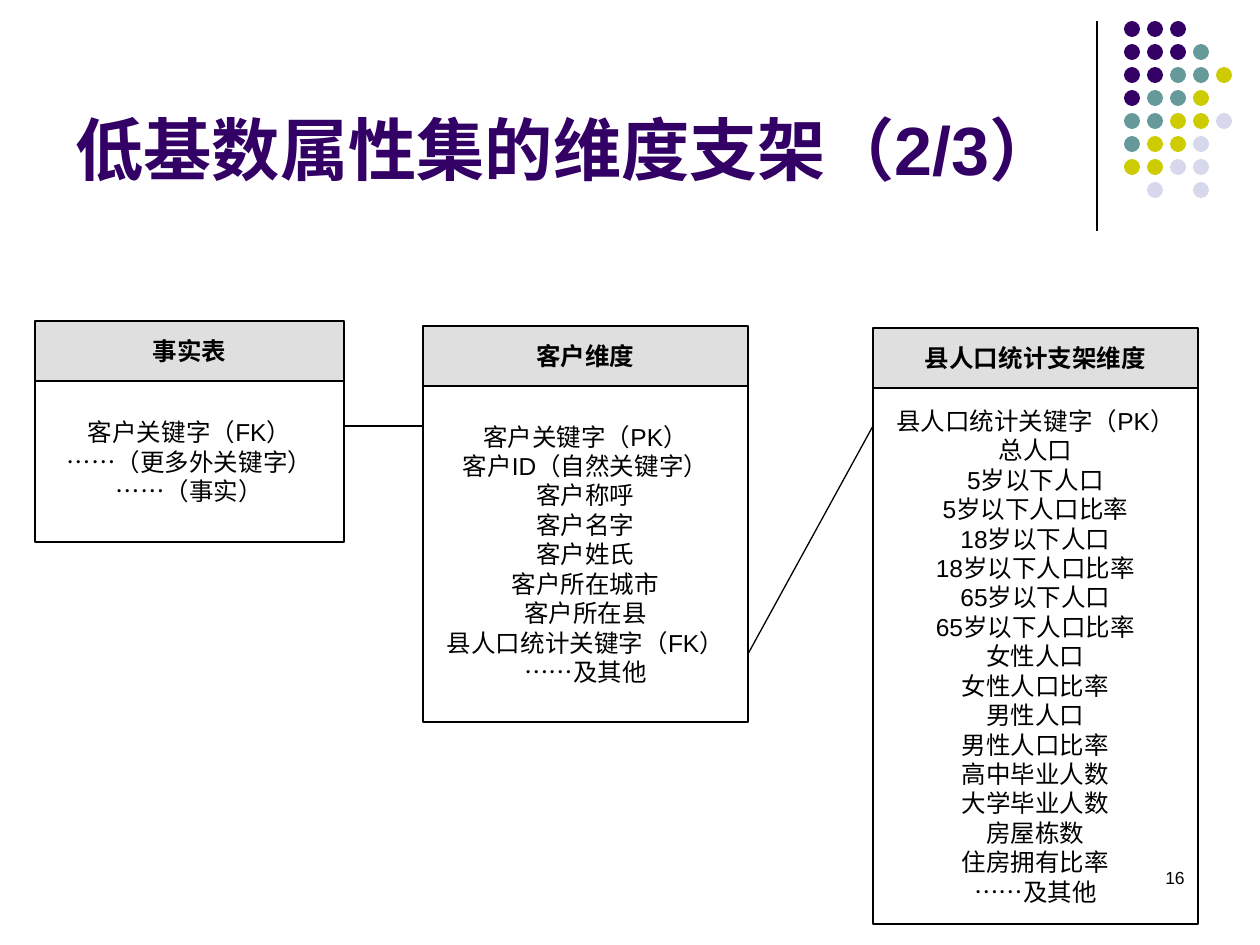
from lxml import etree
from pptx import Presentation
from pptx.dml.color import RGBColor
from pptx.enum.shapes import MSO_CONNECTOR, MSO_SHAPE
from pptx.enum.text import MSO_ANCHOR, PP_ALIGN
from pptx.oxml.ns import qn
from pptx.util import Emu, Pt

RECT, OVAL = MSO_SHAPE.RECTANGLE, MSO_SHAPE.OVAL
STRAIGHT = MSO_CONNECTOR.STRAIGHT
TOP, MIDDLE, BOTTOM = MSO_ANCHOR.TOP, MSO_ANCHOR.MIDDLE, MSO_ANCHOR.BOTTOM
LEFT, CENTER, RIGHT = PP_ALIGN.LEFT, PP_ALIGN.CENTER, PP_ALIGN.RIGHT

BLACK = RGBColor(0x00, 0x00, 0x00)
SILVER = RGBColor(0xC0, 0xC0, 0xC0)
PURPLE = RGBColor(0x33, 0x00, 0x66)
TEAL = RGBColor(0x66, 0x99, 0x99)
LIME = RGBColor(0xCC, 0xCC, 0x00)
LAVENDER = RGBColor(0xD8, 0xD8, 0xEC)

PX = 914400 / 126  # EMU per px


def px(*lengths):
    return [Emu(round(n * PX)) for n in lengths]


def write(sp, lines, size, color, align, anchor, bold=False):
    tf = sp.text_frame
    tf.word_wrap = True
    tf.vertical_anchor = anchor
    tf.text = "\n".join(lines)
    for p in tf.paragraphs:
        p.alignment = align
        p.font.name = "Arial"
        p.font.size = Pt(size)
        p.font.bold = bold
        p.font.color.rgb = color


prs = Presentation()
prs.slide_width, prs.slide_height = px(1260, 945)
s = prs.slides.add_slide(prs.slide_layouts[6])

# Dot pattern in the corner
DOT_COLORS = {"P": PURPLE, "T": TEAL, "L": LIME, "V": LAVENDER}
DOT_ROWS = ["PPP", "PPPT", "PPTTL", "PTTL", "TTLLV", "TLLV", "LLVV", " V V"]
for row, codes in enumerate(DOT_ROWS):
    for col, code in enumerate(codes):
        if code in DOT_COLORS:
            sp = s.shapes.add_shape(OVAL, *px(1124 + 23 * col, 21 + 23 * row, 16, 16))
            sp.shadow.inherit = False
            sp.fill.solid()
            sp.fill.fore_color.rgb = DOT_COLORS[code]
            sp.line.fill.background()

# Title and page number
title = s.shapes.add_textbox(*px(63, 16, 1040, 179))
write(title, ["低基数属性集的维度支架（2/3）"], 39, PURPLE, LEFT, BOTTOM, bold=True)
number = s.shapes.add_textbox(*px(903, 861, 294, 63))
write(number, ["16"], 10, BLACK, RIGHT, TOP)

# Tables: left, top, width, body height, heading, fields
HEADER_H = 60
TABLES = [
    (423, 326, 325, 336, "客户维度",
     ["客户关键字（PK）", "客户ID（自然关键字）", "客户称呼", "客户名字", "客户姓氏",
      "客户所在城市", "客户所在县", "县人口统计关键字（FK）", "……及其他"]),
    (35, 321, 309, 161, "事实表",
     ["客户关键字（FK）", "……（更多外关键字）", "……（事实）"]),
    (873, 328, 325, 536, "县人口统计支架维度",
     ["县人口统计关键字（PK）", "总人口", "5岁以下人口", "5岁以下人口比率",
      "18岁以下人口", "18岁以下人口比率", "65岁以下人口", "65岁以下人口比率",
      "女性人口", "女性人口比率", "男性人口", "男性人口比率", "高中毕业人数",
      "大学毕业人数", "房屋栋数", "住房拥有比率", "……及其他"]),
]
for left, top, width, body_h, heading, fields in TABLES:
    header = s.shapes.add_shape(RECT, *px(left, top, width, HEADER_H))
    body = s.shapes.add_shape(RECT, *px(left, top + HEADER_H, width, body_h))
    for sp in (header, body):
        sp.shadow.inherit = False
        sp.line.color.rgb = BLACK
        sp.line.width = Pt(0.75)
    header.fill.solid()
    header.fill.fore_color.rgb = SILVER
    # Half-transparent header fill
    rgb = header.fill._xPr.find(qn("a:solidFill")).find(qn("a:srgbClr"))
    etree.SubElement(rgb, qn("a:alpha"), val="50000")
    body.fill.background()
    write(header, [heading], 14, BLACK, CENTER, MIDDLE, bold=True)
    write(body, fields, 14, BLACK, CENTER, MIDDLE)

# Title divider and the two key links
LINES = [(1097, 21, 1097, 231), (345, 426, 423, 426), (748, 654, 873, 426)]
for ends in LINES:
    line = s.shapes.add_connector(STRAIGHT, *px(*ends))
    line.line.color.rgb = BLACK
    line.line.width = Pt(0.75)
    etree.SubElement(line._element.spPr, qn("a:effectLst"))

prs.save("out.pptx")
